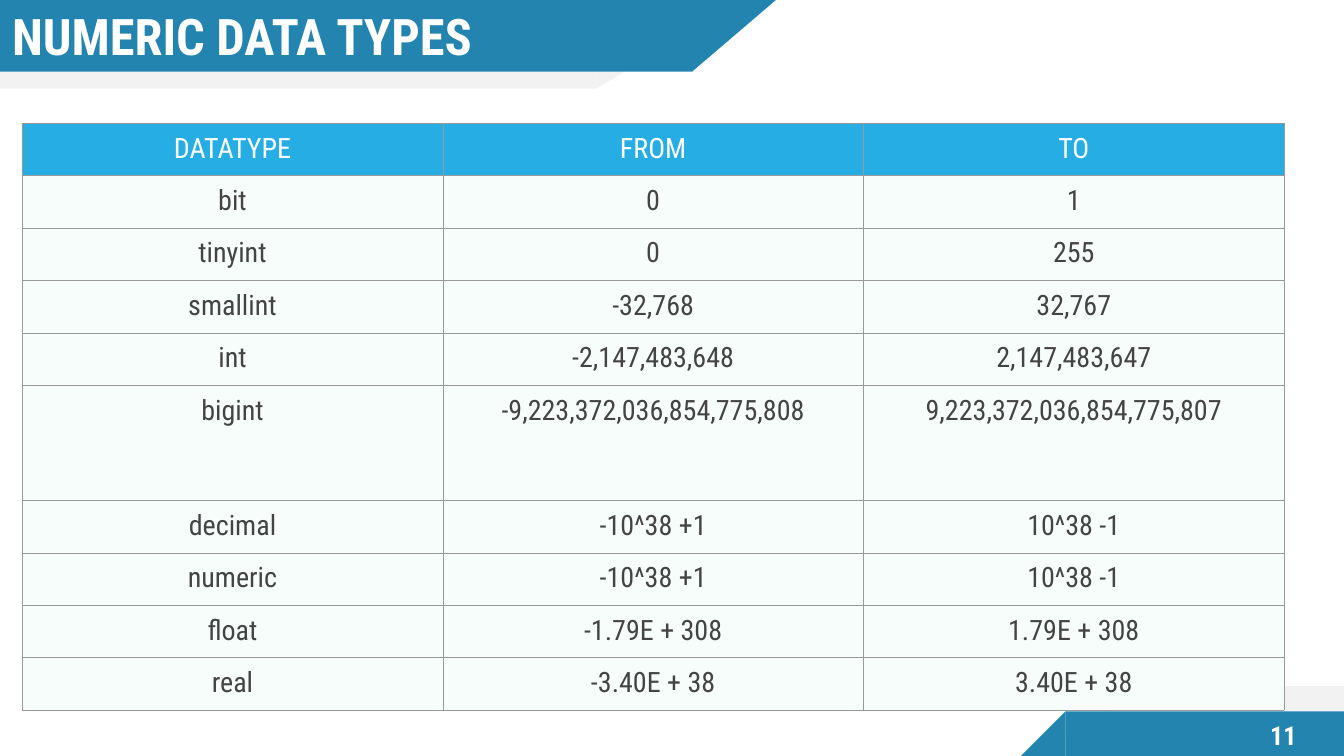
"""Builds the slide that lists numeric data types and their ranges."""
from dataclasses import dataclass

from lxml.etree import SubElement
from pptx import Presentation
from pptx.dml.color import RGBColor as RGB
from pptx.enum.shapes import MSO_SHAPE as SHAPE
from pptx.enum.text import MSO_ANCHOR as ANCHOR, MSO_AUTO_SIZE as AUTO, PP_ALIGN as ALIGN
from pptx.oxml.ns import qn
from pptx.util import Emu, Inches, Pt

COLORS = {"blue": "2384AF", "gray": "F2F2F2", "header": "26ADE4", "body": "F7FDFA",
          "border": "999999", "text": "444444", "white": "FFFFFF"}
GRID_COLS = 160
FONT = "Roboto Condensed"
ROW_H, TALL_ROW_H, COL_W = 6.25, 13.7, 50.08
ROWS = [
    ("DATATYPE", "FROM", "TO"),
    ("bit", "0", "1"),
    ("tinyint", "0", "255"),
    ("smallint", "-32,768", "32,767"),
    ("int", "-2,147,483,648", "2,147,483,647"),
    ("bigint", "-9,223,372,036,854,775,808", "9,223,372,036,854,775,807"),
    ("decimal", "-10^38 +1", "10^38 -1"),
    ("numeric", "-10^38 +1", "10^38 -1"),
    ("float", "-1.79E + 308", "1.79E + 308"),
    ("real", "-3.40E + 38", "3.40E + 38"),
]


@dataclass
class Box:
    """An area in grid columns and rows."""
    col: float
    row: float
    cols: float
    rows: float


@dataclass
class Band:
    """A bar with a slanted end, at the top left or bottom right."""
    color: str
    row: float
    rows: float
    bar: float
    slant: float
    top: bool


BANDS = [
    Band("gray", -0.12, 10.68, 71, 17.4, True),
    Band("blue", -0.12, 8.64, 82.4, 10.1, True),
    Band("gray", 81.72, 8.28, 23.9, 11.8, False),
    Band("blue", 84.72, 5.28, 33.16, 5.28, False),
]

prs = Presentation()
prs.slide_width, prs.slide_height = Inches(13.33), Inches(7.5)


def cells(n: float) -> Emu:
    """Converts grid cells to a length."""
    return Emu(round(n * prs.slide_width / GRID_COLS))


def place(box: Box) -> list[Emu]:
    """Returns left, top, width and height of a box."""
    return [cells(n) for n in (box.col, box.row, box.cols, box.rows)]


def assign(target, values: dict) -> None:
    """Sets every attribute named in values."""
    for name, value in values.items():
        setattr(target, name, value)


def write(tf, text: str, size: float, color: str, align: ALIGN, bold: bool = False) -> None:
    """Writes one formatted run."""
    p = tf.paragraphs[0]
    p.alignment = align
    r = p.add_run()
    r.text = text
    assign(r.font, {"name": FONT, "size": Pt(size), "bold": bold})
    r.font.color.rgb = RGB.from_string(COLORS[color])


def draw_band(shapes, band: Band) -> None:
    """Draws the bar and the slanted end of a band."""
    bar_col = 0 if band.top else GRID_COLS - band.bar
    end_col = band.bar if band.top else bar_col - band.slant
    for kind, col, width in ((SHAPE.RECTANGLE, bar_col, band.bar),
                             (SHAPE.RIGHT_TRIANGLE, end_col, band.slant)):
        s = shapes.add_shape(kind, *place(Box(col, band.row, width, band.rows)))
        s.shadow.inherit = False
        s.rotation = 180 if band.top else 0
        s._element.spPr.xfrm.set("flipH", "1")
        s.fill.solid()
        s.fill.fore_color.rgb = RGB.from_string(COLORS[band.color])
        s.line.fill.background()


def draw_cell(cell, text: str, fill: str, color: str) -> None:
    """Formats one bordered table cell."""
    assign(cell, {"margin_left": Inches(0.05), "margin_right": Inches(0.05),
                  "margin_top": Inches(0.09), "margin_bottom": Inches(0.09)})
    tc_pr = cell._tc.get_or_add_tcPr()
    for side in ("L", "R", "T", "B"):
        ln = SubElement(tc_pr, qn(f"a:ln{side}"), w=str(Pt(0.38)))
        SubElement(SubElement(ln, qn("a:solidFill")), qn("a:srgbClr"), val=COLORS["border"])
    cell.fill.solid()
    cell.fill.fore_color.rgb = RGB.from_string(COLORS[fill])
    write(cell.text_frame, text, 20, color, ALIGN.CENTER)


def draw_table(shapes) -> None:
    """Draws the table of ranges."""
    box = Box(2.64, 14.64, 3 * COL_W, (len(ROWS) - 1) * ROW_H + TALL_ROW_H)
    table = shapes.add_table(len(ROWS), 3, *place(box)).table
    assign(table, {"first_row": False, "horz_banding": False})
    for column in table.columns:
        column.width = cells(COL_W)
    for i, values in enumerate(ROWS):
        table.rows[i].height = cells(TALL_ROW_H if values[0] == "bigint" else ROW_H)
        fill, color = ("body", "text") if i else ("header", "white")
        for j, text in enumerate(values):
            draw_cell(table.cell(i, j), text, fill, color)


def draw_text(s, box: Box, margins: tuple, text: str, size: float, align: ALIGN) -> None:
    """Places a shape and writes bold white text in it."""
    assign(s, dict(zip(("left", "top", "width", "height"), place(box))))
    tf = s.text_frame
    assign(tf, {"word_wrap": True, "auto_size": AUTO.NONE, "vertical_anchor": ANCHOR.MIDDLE})
    sides = ("margin_left", "margin_top", "margin_right", "margin_bottom")
    assign(tf, dict(zip(sides, map(Inches, margins))))
    write(tf, text, size, "white", align, True)


def main() -> None:
    """Builds and saves the slide."""
    slide = prs.slides.add_slide(prs.slide_layouts[5])
    shapes = slide.shapes
    for band in BANDS:
        draw_band(shapes, band)
    title = shapes.title
    shapes._spTree.append(title._element)
    draw_text(title, Box(0, 0.6, 88.3, 7.32), (0.12, 0, 0, 0),
              "NUMERIC DATA TYPES", 36, ALIGN.LEFT)
    number = shapes.add_textbox(0, 0, 0, 0)
    draw_text(number, Box(147.5, 84.84, 10.56, 5.4), (0.1,) * 4, "11", 18.7, ALIGN.CENTER)
    draw_table(shapes)
    prs.save("out.pptx")


main()
